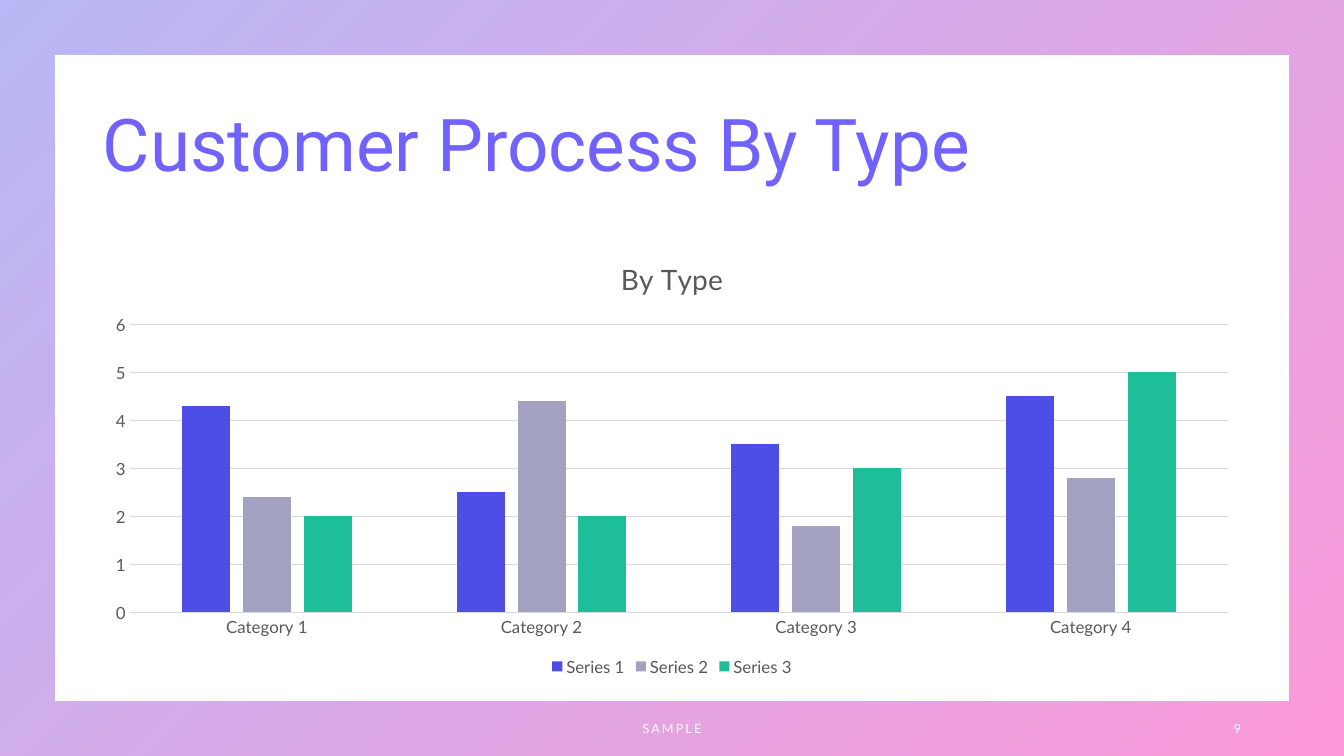
from lxml import etree
from pptx import Presentation
from pptx.chart.data import CategoryChartData
from pptx.dml.color import RGBColor
from pptx.enum.chart import XL_CHART_TYPE, XL_LEGEND_POSITION, XL_TICK_MARK
from pptx.enum.shapes import MSO_SHAPE
from pptx.enum.text import MSO_ANCHOR, MSO_AUTO_SIZE, PP_ALIGN
from pptx.oxml.ns import qn
from pptx.util import Inches, Pt

COLUMNS = XL_CHART_TYPE.COLUMN_CLUSTERED
BOTTOM = XL_LEGEND_POSITION.BOTTOM
NO_TICK = XL_TICK_MARK.NONE
FRAME = MSO_SHAPE.FRAME
MIDDLE = MSO_ANCHOR.MIDDLE
NO_FIT = MSO_AUTO_SIZE.NONE
LEFT, CENTER, RIGHT = PP_ALIGN.LEFT, PP_ALIGN.CENTER, PP_ALIGN.RIGHT

# Content
TITLE = "Customer Process By Type"
CHART_TITLE = "By Type"
CATEGORIES = [f"Category {number}" for number in range(1, 5)]
SERIES = [
    ("Series 1", (4.3, 2.5, 3.5, 4.5), "indigo"),
    ("Series 2", (2.4, 4.4, 1.8, 2.8), "lavender"),
    ("Series 3", (2, 2, 3, 5), "green"),
]
COLORS = {
    "indigo": "4D4EE6", "lavender": "A3A3C1", "green": "1EBE9B",
    "pink": "F900A0", "violet": "7162FE", "gray": "595959",
    "grid": "D9D9D9", "white": "FFFFFF",
}

# Layout in inches
WIDTH, HEIGHT = 13.33, 7.5
MARGIN = 0.92
CONTENT_WIDTH = WIDTH - 2 * MARGIN
FOOTER_TOP, FOOTER_HEIGHT = 7.03, 0.4
FOOTERS = [  # text, left, width, alignment
    ("SAMPLE", (WIDTH - 4.5) / 2, 4.5, CENTER),
    ("9", WIDTH - MARGIN - 3, 3, RIGHT),
]


def color(name):
    return RGBColor.from_string(COLORS[name])


def box(*lengths):
    return [Inches(length) for length in lengths]


def set_font(font, size, color_name, name="Lato"):
    formats = {"size": Pt(size), "name": name, "bold": False}
    for attribute, value in formats.items():
        setattr(font, attribute, value)
    font.color.rgb = color(color_name)


def set_line(line, color_name):
    line.color.rgb = color(color_name)
    line.width = Pt(0.75)


def write(shape, text, alignment, **font):
    frame = shape.text_frame
    formats = {"word_wrap": True, "auto_size": NO_FIT, "vertical_anchor": MIDDLE}
    for attribute, value in formats.items():
        setattr(frame, attribute, value)
    paragraph = frame.paragraphs[0]
    paragraph.alignment = alignment
    run = paragraph.add_run()
    run.text = text
    set_font(run.font, **font)
    return paragraph, run


presentation = Presentation()
presentation.slide_width, presentation.slide_height = box(WIDTH, HEIGHT)
slide = presentation.slides.add_slide(presentation.slide_layouts[5])
title = slide.shapes.title

# Translucent gradient frame, behind the title
border = slide.shapes.add_shape(FRAME, *box(0, 0, WIDTH, HEIGHT))
border.adjustments[0] = 0.072
border.shadow.inherit = False
border.line.fill.background()
border.fill.gradient()
border.fill.gradient_angle = 315
for stop, name in zip(border.fill.gradient_stops, ("indigo", "pink")):
    stop.color.rgb = color(name)
for stop_color in border._element.spPr.iter(qn("a:srgbClr")):
    etree.SubElement(stop_color, qn("a:alpha"), val="40000")
title._element.addprevious(border._element)

# Title
title.left, title.top, title.width, title.height = box(MARGIN, 0.74, CONTENT_WIDTH, 1.45)
paragraph, run = write(title, TITLE, LEFT, size=52, color_name="violet", name="Roboto")
paragraph.line_spacing = 0.9

# Column chart
chart_data = CategoryChartData()
chart_data.categories = CATEGORIES
for name, values, color_name in SERIES:
    chart_data.add_series(name, values)
chart = slide.shapes.add_chart(
    COLUMNS, *box(MARGIN, 2.38, CONTENT_WIDTH, 4.37), chart_data).chart
set_font(chart.font, 12, "gray")

chart.has_title = True
chart_title = chart.chart_title.text_frame
chart_title.text = CHART_TITLE
set_font(chart_title.paragraphs[0].runs[0].font, 20, "gray")

chart.has_legend = True
chart.legend.position = BOTTOM
chart.legend.include_in_layout = False
set_font(chart.legend.font, 12, "gray")

for axis in (chart.category_axis, chart.value_axis):
    axis.major_tick_mark = axis.minor_tick_mark = NO_TICK
    set_font(axis.tick_labels.font, 12, "gray")
set_line(chart.category_axis.format.line, "grid")
value_axis = chart.value_axis
value_axis.format.line.fill.background()
value_axis.minimum_scale, value_axis.maximum_scale, value_axis.major_unit = 0, 6, 1
set_line(value_axis.major_gridlines.format.line, "grid")

plot = chart.plots[0]
plot.gap_width, plot.overlap, plot.vary_by_categories = 219, -27, False
for series, (name, values, color_name) in zip(plot.series, SERIES):
    series.format.fill.solid()
    series.format.fill.fore_color.rgb = color(color_name)

# Footer
for text, left, width, alignment in FOOTERS:
    footer = slide.shapes.add_textbox(*box(left, FOOTER_TOP, width, FOOTER_HEIGHT))
    paragraph, run = write(footer, text, alignment, size=9, color_name="white")
    run.font._element.set("spc", "150")

presentation.save("out.pptx")
